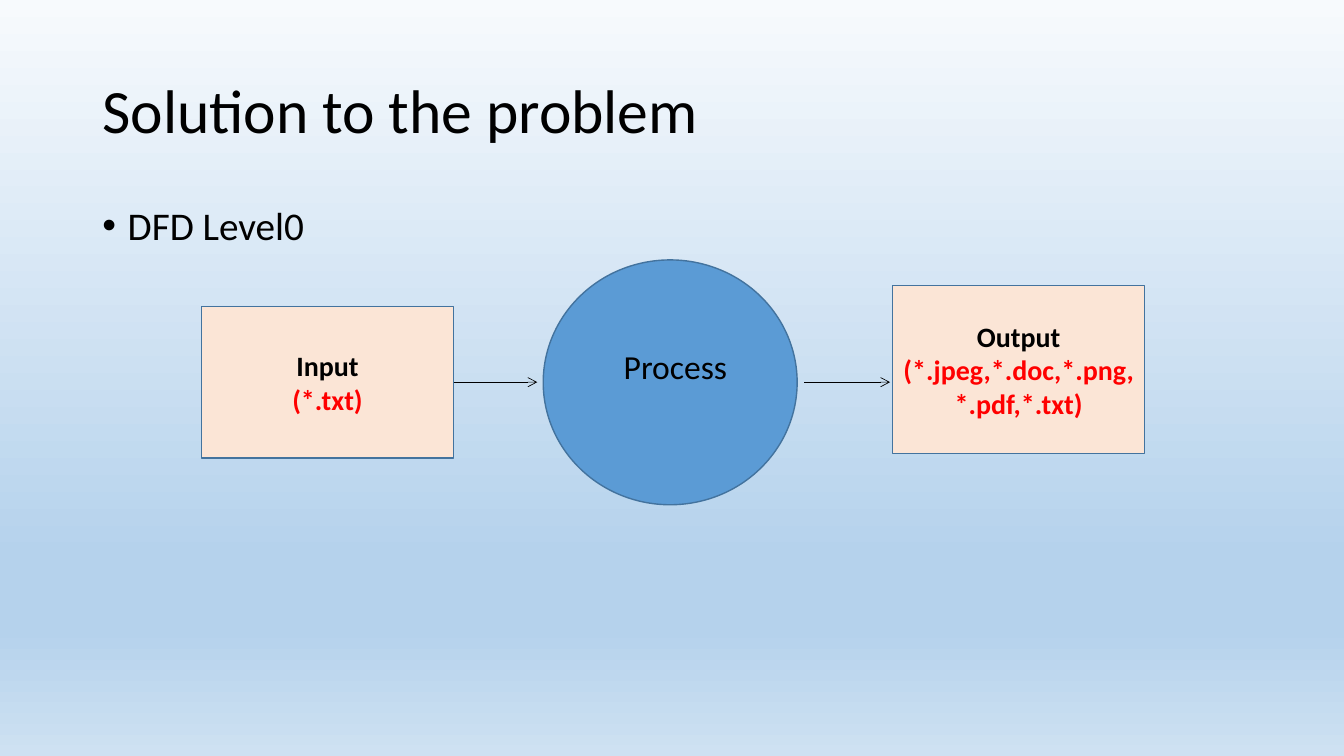
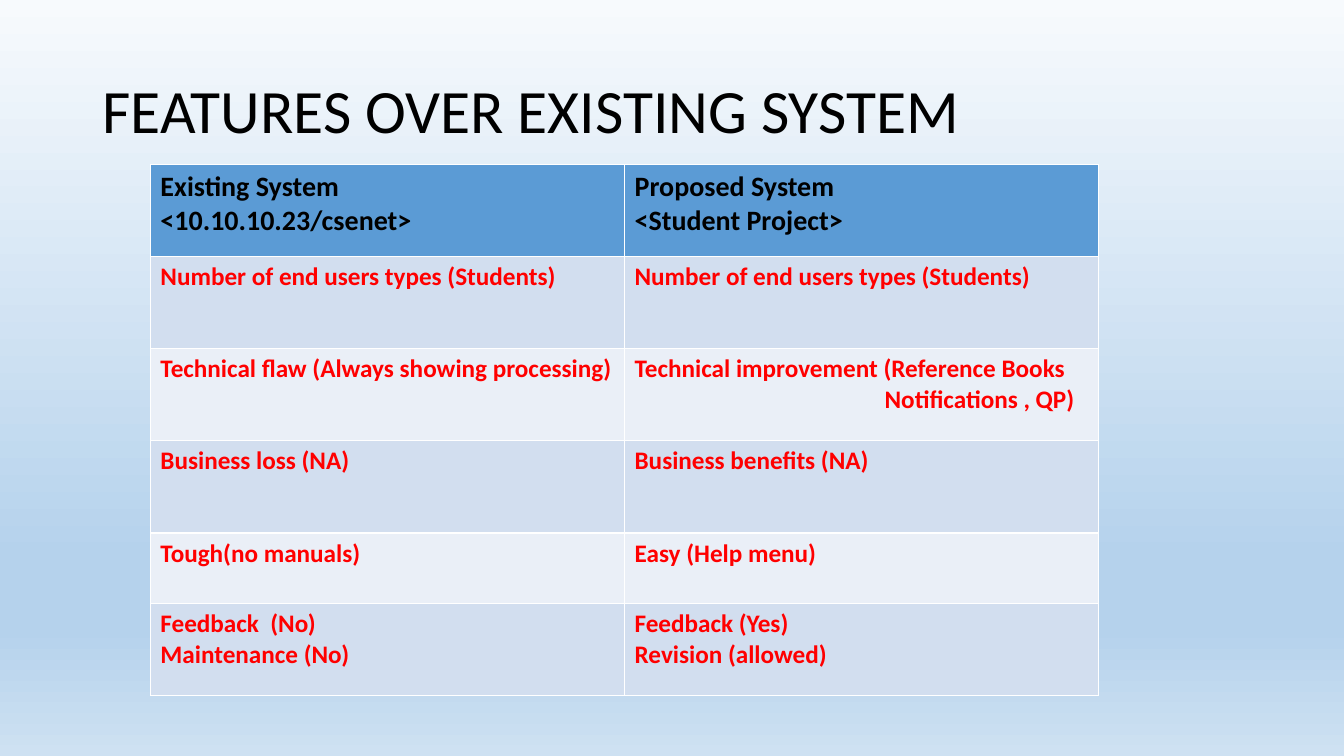
from lxml import etree
from pptx import Presentation
from pptx.dml.color import RGBColor
from pptx.enum.shapes import MSO_CONNECTOR, MSO_SHAPE
from pptx.enum.text import MSO_ANCHOR, PP_ALIGN
from pptx.oxml.ns import qn
from pptx.util import Cm, Pt

RECTANGLE = MSO_SHAPE.RECTANGLE
CIRCLE = MSO_SHAPE.FLOWCHART_CONNECTOR
STRAIGHT = MSO_CONNECTOR.STRAIGHT
TOP, MIDDLE = MSO_ANCHOR.TOP, MSO_ANCHOR.MIDDLE
CENTER = PP_ALIGN.CENTER
RIGHT_SIDE = 3

BLACK = RGBColor(0x00, 0x00, 0x00)
RED = RGBColor(0xFF, 0x00, 0x00)
WHITE = RGBColor(0xFF, 0xFF, 0xFF)
BLUE = RGBColor(0x5B, 0x9B, 0xD5)
OUTLINE = RGBColor(0x43, 0x73, 0x9E)
PEACH = RGBColor(0xFB, 0xE5, 0xD6)
BANDS = (RGBColor(0xD2, 0xDE, 0xEF), RGBColor(0xEA, 0xEF, 0xF7))
BACKGROUND_STOPS = (
    (0, RGBColor(0xF7, 0xFA, 0xFD)),
    (74, RGBColor(0xB5, 0xD2, 0xEC)),
    (83, RGBColor(0xB5, 0xD2, 0xEC)),
    (100, RGBColor(0xCE, 0xE1, 0xF2)),
)

# Text formats
TITLE = {"size": Pt(44)}
BODY = {"size": Pt(28)}
PROCESS = {"size": Pt(24)}
HEADING = {"size": Pt(20), "bold": True}
CELL = {"size": Pt(18), "bold": True}

TABLE_ROWS = (
    ("Existing System\n<10.10.10.23/csenet>", "Proposed System\n<Student Project>"),
    ("Number of end users types (Students)", "Number of end users types (Students)"),
    ("Technical flaw (Always showing processing)",
     "Technical improvement (Reference Books\nNotifications , QP)"),
    ("Business loss (NA)", "Business benefits (NA)"),
    ("Tough(no manuals)", "Easy (Help menu)"),
    ("Feedback  (No)\nMaintenance (No)", "Feedback (Yes)\nRevision (allowed)"),
)
ROW_HEIGHTS = (2.32, 2.32, 2.32, 2.32, 1.77, 2.32)
COLUMN_WIDTH = 11.95


def set_background(master):
    """Give every slide the shared vertical gradient."""
    fill = master.background.fill
    fill.gradient()
    fill.gradient_angle = 270
    stops = next(master.element.iter(qn("a:gsLst")))
    for stop in list(stops):
        stops.remove(stop)
    for percent, color in BACKGROUND_STOPS:
        stop = etree.SubElement(stops, qn("a:gs"), pos=str(percent * 1000))
        etree.SubElement(stop, qn("a:srgbClr"), val=str(color))


def write_lines(text_frame, lines, text_format, alignment=None):
    """Write (text, color) pairs as paragraphs and return the paragraphs."""
    for index, (text, color) in enumerate(lines):
        paragraph = text_frame.add_paragraph() if index else text_frame.paragraphs[0]
        paragraph.alignment = alignment
        run = paragraph.add_run()
        run.text = text
        run.font.name = "Calibri"
        run.font.color.rgb = color
        for name, value in text_format.items():
            setattr(run.font, name, value)
    return text_frame.paragraphs


def set_indent(paragraph, margin, first_line=0):
    properties = paragraph._p.get_or_add_pPr()
    properties.set("marL", str(Cm(margin)))
    properties.set("indent", str(Cm(first_line)))
    return properties


def add_text(slide, box, text, text_format, anchor=TOP, line_spacing=None):
    text_box = slide.shapes.add_textbox(*map(Cm, box))
    text_box.text_frame.word_wrap = True
    text_box.text_frame.vertical_anchor = anchor
    paragraph = write_lines(text_box.text_frame, [(text, BLACK)], text_format)[0]
    paragraph.line_spacing = line_spacing
    return paragraph


def add_title(slide, text):
    add_text(slide, (2.33, 1.01, 29.21, 3.68), text, TITLE, MIDDLE, 0.9)


def add_bullet(slide, text):
    paragraph = add_text(slide, (2.33, 5.07, 29.21, 1.6), text, BODY, line_spacing=0.9)
    properties = set_indent(paragraph, 0.64, -0.64)
    etree.SubElement(properties, qn("a:buFont"), typeface="Arial")
    etree.SubElement(properties, qn("a:buChar"), char="•")


def add_node(slide, preset, box, color, lines=()):
    shape = slide.shapes.add_shape(preset, *map(Cm, box))
    shape.shadow.inherit = False
    shape.fill.solid()
    shape.fill.fore_color.rgb = color
    shape.line.color.rgb = OUTLINE
    shape.line.width = Pt(1)
    shape.text_frame.word_wrap = True
    shape.text_frame.vertical_anchor = MIDDLE
    write_lines(shape.text_frame, lines, HEADING, CENTER)
    return shape


def add_arrow(slide, left, right, y):
    arrow = slide.shapes.add_connector(STRAIGHT, Cm(left), Cm(y), Cm(right), Cm(y))
    arrow.line.color.rgb = BLACK
    arrow.line.width = Pt(0.5)
    etree.SubElement(arrow.line._get_or_add_ln(), qn("a:tailEnd"), type="arrow")
    etree.SubElement(arrow._element.spPr, qn("a:effectLst"))
    return arrow


def format_cell(cell, color):
    """Draw thin white borders, then fill the cell."""
    properties = cell._tc.get_or_add_tcPr()
    for side in ("lnL", "lnR", "lnT", "lnB"):
        line = etree.SubElement(properties, qn(f"a:{side}"), w=str(Pt(1)))
        line_fill = etree.SubElement(line, qn("a:solidFill"))
        etree.SubElement(line_fill, qn("a:srgbClr"), val=str(WHITE))
    cell.fill.solid()
    cell.fill.fore_color.rgb = color


def add_comparison(slide):
    size = (2 * COLUMN_WIDTH, sum(ROW_HEIGHTS))
    frame = slide.shapes.add_table(len(TABLE_ROWS), 2, *map(Cm, (3.79, 4.15, *size)))
    table = frame.table
    for column in table.columns:
        column.width = Cm(COLUMN_WIDTH)
    for row_index, (texts, height) in enumerate(zip(TABLE_ROWS, ROW_HEIGHTS)):
        table.rows[row_index].height = Cm(height)
        is_header = row_index == 0
        fill_color = BLUE if is_header else BANDS[(row_index - 1) % 2]
        text_color = BLACK if is_header else RED
        for cell, text in zip(table.rows[row_index].cells, texts):
            format_cell(cell, fill_color)
            lines = [(line, text_color) for line in text.split("\n")]
            write_lines(cell.text_frame, lines, HEADING if is_header else CELL)
    # The second line of the technical improvement sits under its bracket
    set_indent(table.cell(2, 1).text_frame.paragraphs[1], 6.3)


def build_solution(slide):
    add_title(slide, "Solution to the problem")
    add_bullet(slide, "DFD Level0")
    # Data flow: input, process, output
    source = add_node(slide, RECTANGLE, (5.08, 7.72, 6.35, 3.82), PEACH,
                      [("Input", BLACK), ("(*.txt)", RED)])
    add_node(slide, RECTANGLE, (22.5, 7.19, 6.35, 4.24), PEACH,
             [("Output", BLACK), ("(*.jpeg,*.doc,*.png,*.pdf,*.txt)", RED)])
    add_arrow(slide, 11.43, 13.54, 9.63).begin_connect(source, RIGHT_SIDE)
    add_arrow(slide, 20.27, 22.43, 9.63)
    add_node(slide, CIRCLE, (13.69, 6.55, 6.4, 6.17), BLUE)
    add_text(slide, (15.47, 8.59, 3.45, 1.27), "Process", PROCESS)


def build_features(slide):
    add_title(slide, "FEATURES OVER EXISTING SYSTEM")
    add_comparison(slide)


def main():
    presentation = Presentation()
    presentation.slide_width = Cm(33.87)
    presentation.slide_height = Cm(19.05)
    set_background(presentation.slide_master)
    blank_layout = presentation.slide_layouts[6]
    for build in (build_solution, build_features):
        build(presentation.slides.add_slide(blank_layout))
    presentation.save("out.pptx")


if __name__ == "__main__":
    main()
